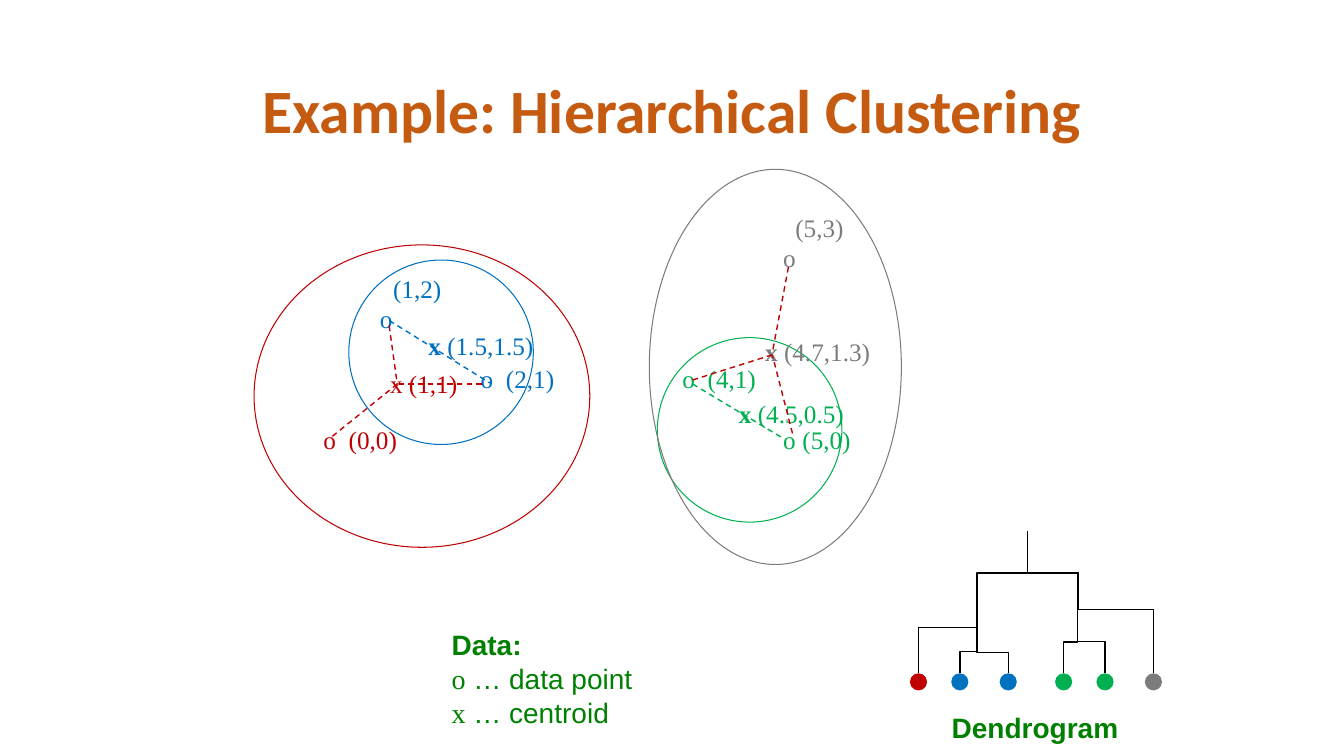
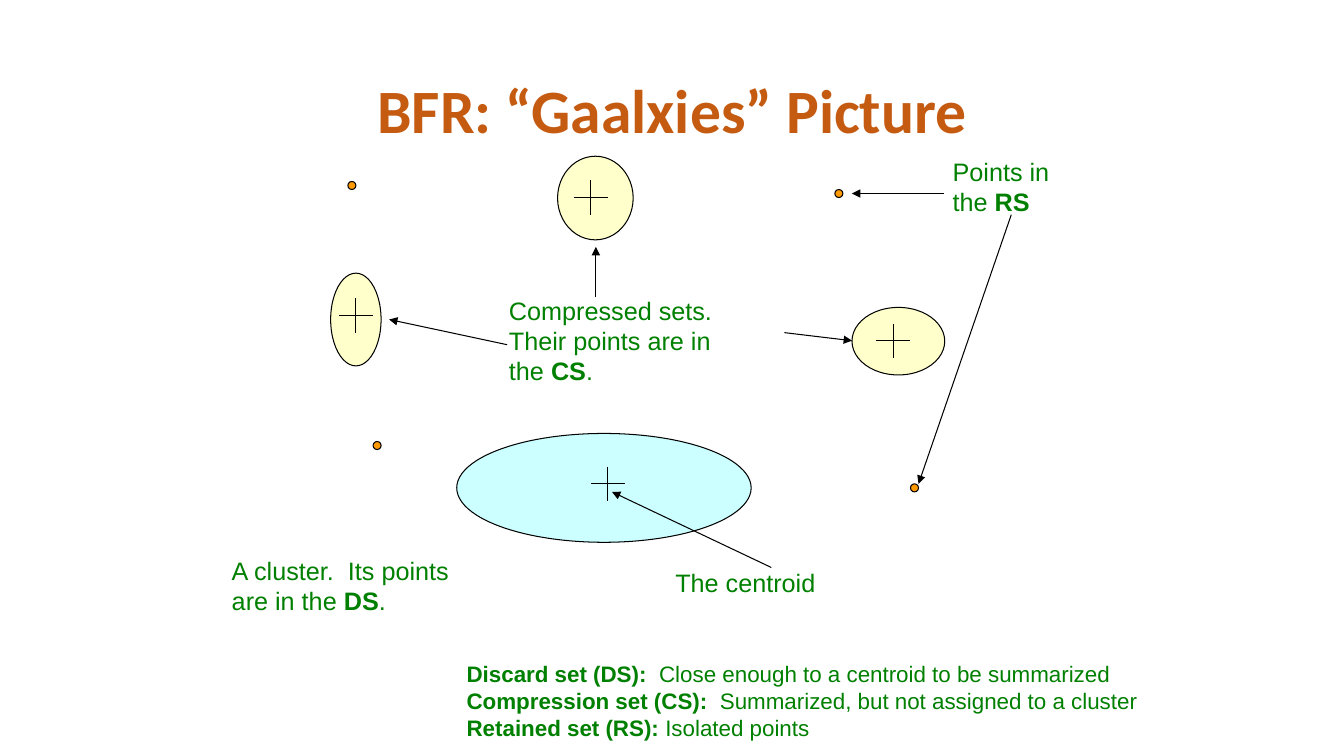
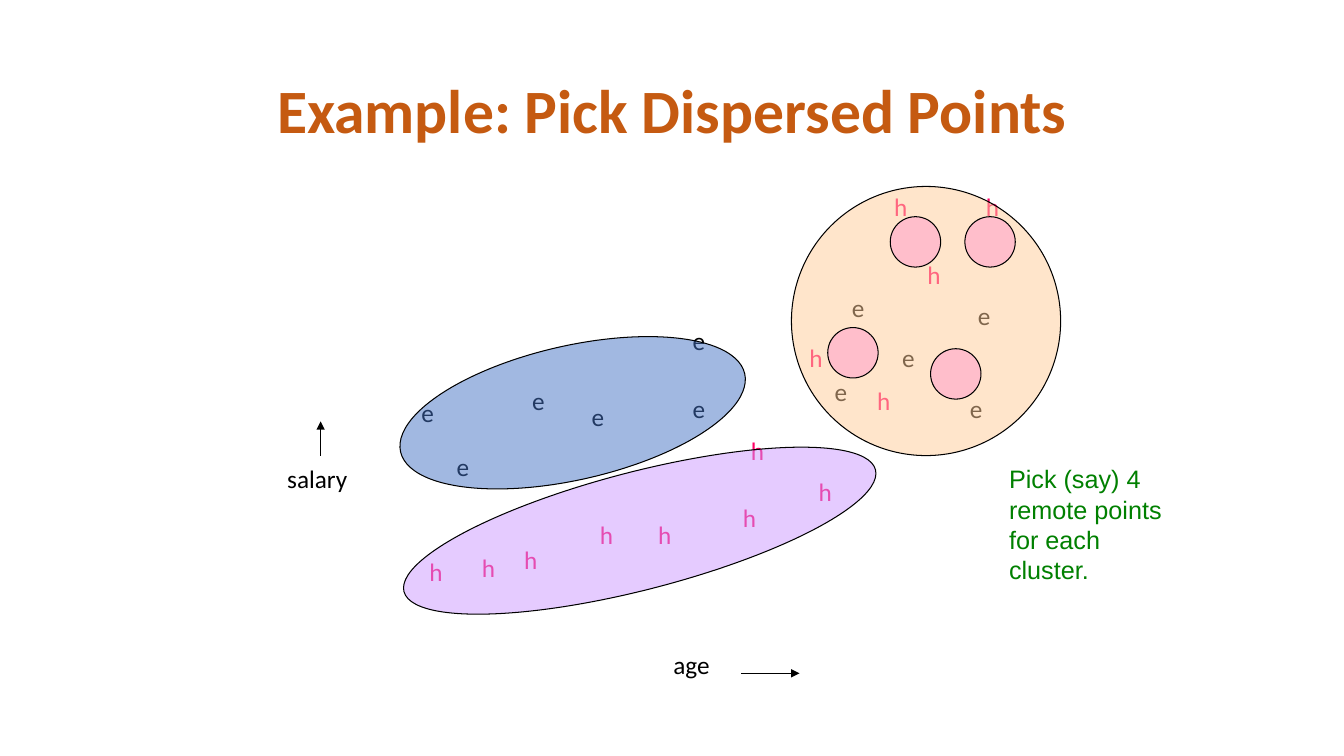
from lxml import etree
from pptx import Presentation
from pptx.dml.color import RGBColor
from pptx.enum.dml import MSO_LINE
from pptx.enum.shapes import MSO_CONNECTOR, MSO_SHAPE
from pptx.enum.text import MSO_ANCHOR, PP_ALIGN
from pptx.oxml.ns import qn
from pptx.util import Pt

PX = 9144  # EMU per px, 100 px to the inch
ELLIPSE = MSO_SHAPE.OVAL
STRAIGHT, ELBOW = MSO_CONNECTOR.STRAIGHT, MSO_CONNECTOR.ELBOW
DASH = MSO_LINE.DASH
TOP, MIDDLE = MSO_ANCHOR.TOP, MSO_ANCHOR.MIDDLE
LEFT, CENTER = PP_ALIGN.LEFT, PP_ALIGN.CENTER

SANS, SERIF, HEADING = "Arial", "Times New Roman", "Calibri"

BLACK = RGBColor(0x00, 0x00, 0x00)
RUST = RGBColor(0xC5, 0x5A, 0x11)
NOTE_GREEN = RGBColor(0x00, 0x80, 0x00)
BLUE = RGBColor(0x00, 0x70, 0xC0)
GREEN = RGBColor(0x00, 0xB0, 0x50)
RED = RGBColor(0xC0, 0x00, 0x00)
GREY = RGBColor(0x7C, 0x7C, 0x7C)
AQUA = RGBColor(0xCC, 0xFF, 0xFF)
YELLOW = RGBColor(0xFF, 0xFF, 0x99)
ORANGE = RGBColor(0xFF, 0x99, 0x00)
STEEL = RGBColor(0x44, 0x72, 0xC4)
PEACH = RGBColor(0xFF, 0xCC, 0x99)
VIOLET = RGBColor(0xCC, 0x99, 0xFF)
PINK = RGBColor(0xFF, 0x99, 0xCC)
MAGENTA = RGBColor(0xFF, 0x00, 0x66)

BOLD = {"bold": True}


def write(frame, lines, size=18, font=SANS, color=NOTE_GREEN, bold=False,
          align=LEFT, anchor=TOP, spacing=None):
    """Fill a text frame; a line is a string or a list of (text, changes)."""
    frame.word_wrap = True
    frame.vertical_anchor = anchor
    for number, line in enumerate(lines):
        para = frame.add_paragraph() if number else frame.paragraphs[0]
        para.alignment = align
        if spacing:
            para.line_spacing = spacing
        for text, changes in [(line, {})] if isinstance(line, str) else line:
            span = para.add_run()
            span.text = text
            span.font.size = Pt(size)
            span.font.name = changes.get("font", font)
            span.font.bold = changes.get("bold", bold)
            span.font.color.rgb = color


class Region:
    """Part of a page whose pieces are placed from its own left top corner."""

    def __init__(self, page, left, top):
        self.shapes = page.shapes
        self.left, self.top = left, top

    def point(self, x, y):
        return round((self.left + x) * PX), round((self.top + y) * PX)

    def label(self, x, y, width, height, *lines, **style):
        box = self.shapes.add_textbox(*self.point(x, y), width * PX, height * PX)
        box.text_frame.margin_right = 0
        write(box.text_frame, lines, **style)

    def ellipse(self, x, y, width, height, fill=None, line=BLACK, alpha=None,
                rotation=0):
        shape = self.shapes.add_shape(
            ELLIPSE, *self.point(x, y), width * PX, height * PX)
        shape.shadow.inherit = False
        shape.rotation = rotation
        if fill is None:
            shape.fill.background()
        else:
            shape.fill.solid()
            shape.fill.fore_color.rgb = fill
        if alpha:
            color = shape._element.spPr.find(qn("a:solidFill"))[0]
            etree.SubElement(color, qn("a:alpha"), val=str(alpha * 1000))
        if line is None:
            shape.line.fill.background()
        else:
            shape.line.color.rgb = line
            shape.line.width = Pt(0.75)

    def line(self, x1, y1, x2, y2, color=BLACK, width=0.75, dash=None,
             arrow=False, kind=STRAIGHT):
        connector = self.shapes.add_connector(
            kind, *self.point(x1, y1), *self.point(x2, y2))
        connector.line.color.rgb = color
        connector.line.width = Pt(width)
        if dash:
            connector.line.dash_style = dash
        if arrow:
            etree.SubElement(connector.line._get_or_add_ln(), qn("a:tailEnd"),
                             type="triangle")
        etree.SubElement(connector._element.spPr, qn("a:effectLst"))
        return connector

    def branch(self, x1, y1, x2, y2, bend):
        """Elbow that leaves upwards, turns at the bend and ends upwards."""
        middle_x, middle_y = (x1 + x2) / 2, (y1 + y2) / 2
        half_width, half_height = (y1 - y2) / 2, abs(x2 - x1) / 2
        side = 1 if x2 > x1 else -1
        connector = self.line(
            middle_x + side * half_width, middle_y + half_height,
            middle_x - side * half_width, middle_y - half_height,
            width=1, kind=ELBOW)
        properties = connector._element.spPr
        turn = 90 if side > 0 else 270
        properties.find(qn("a:xfrm")).set("rot", str(turn * 60000))
        geometry = properties.find(qn("a:prstGeom"))
        guides = geometry.find(qn("a:avLst"))
        if guides is None:
            guides = etree.SubElement(geometry, qn("a:avLst"))
        etree.SubElement(guides, qn("a:gd"), name="adj1",
                         fmla=f"val {round(bend * 100000)}")

    def cross(self, x, y, arm=17):
        self.line(x, y - arm, x, y + arm)
        self.line(x - arm, y, x + arm, y)


def add_page(deck, title):
    page = deck.slides.add_slide(deck.slide_layouts[5])
    box = page.shapes.title
    box.left, box.top, box.width, box.height = (
        length * PX for length in (92, 40, 1150, 145))
    write(box.text_frame, [title], size=44, font=HEADING, color=RUST,
          bold=True, align=CENTER, anchor=MIDDLE, spacing=0.9)
    return page


def cluster_plot(page, left, top):
    plot = Region(page, left, top)
    data_points = [
        (517, 71, 12, -30, "(5,3)", GREY),
        (117, 131, 13, -30, "(1,2)", BLUE),
        (217, 191, 25, 0, "(2,1)", BLUE),
        (417, 191, 25, 0, "(4,1)", GREEN),
        (61, 251, 25, 0, "(0,0)", RED),
        (517, 251, 19, 0, "(5,0)", GREEN),
    ]
    for x, y, shift_x, shift_y, text, color in data_points:
        plot.label(x, y, 33, 40, "o", font=SERIF, color=color)
        plot.label(x + shift_x, y + shift_y, 68, 40, text, font=SERIF, color=color)

    clusters = [
        ((96, 93, 183, 183), (165, 158), " (1.5,1.5)", BLUE, True),
        ((402, 170, 183, 183), (473, 225), " (4.5,0.5)", GREEN, True),
        ((2, 78, 333, 300), (127, 195), " (1,1)", RED, False),
        ((394, 3, 250, 392), (499, 164), " (4.7,1.3)", GREY, True),
    ]
    for outline, centroid, text, color, bold in clusters:
        plot.ellipse(*outline, line=color)
        plot.label(*centroid, 125, 40, [("x", {"bold": bold}), (text, {})],
                   font=SERIF, color=color)

    links = [
        (136, 153, 236, 215, BLUE), (437, 216, 527, 270, GREEN),
        (136, 158, 144, 216, RED), (228, 216, 144, 216, RED),
        (144, 216, 77, 270, RED), (532, 100, 516, 185, RED),
        (437, 212, 516, 187, RED), (536, 265, 516, 187, RED),
    ]
    for *ends, color in links:
        plot.line(*ends, color=color, width=1, dash=DASH)


def dendrogram(page, left, top):
    tree = Region(page, left, top)
    leaf_top, leaf_size = 143, 17
    leaves = [
        (11, RED, 69, 52, 0.5), (52, BLUE, 69, 93, 0.43),
        (100, BLUE, 69, 102, 0.5), (155, GREEN, 169, 102, 0.76),
        (196, GREEN, 169, 77, 0.48), (244, GREY, 169, 43, 0.63),
    ]
    for x, color, parent_x, parent_y, bend in leaves:
        tree.ellipse(x - leaf_size / 2, leaf_top, leaf_size, leaf_size,
                     fill=color, line=None)
        tree.branch(x, leaf_top, parent_x, parent_y, bend)
    tree.branch(69, 85, 119, 2, 0.5)
    tree.branch(169, 68, 119, 2, 0.37)
    tree.label(34, 175, 187, 44, "Dendrogram", size=20, bold=True)


def data_legend(page, left, top):
    symbol = {"font": SERIF}
    Region(page, left, top).label(
        0, 0, 201, 111,
        [("Data:", BOLD)],
        [("o", symbol), (" … data point", {})],
        [("x", symbol), (" … centroid", {})], size=20)


def discard_set(page, left, top):
    area = Region(page, left, top)
    area.ellipse(233, 0, 292, 108, fill=AQUA)
    area.label(0, 116, 238, 71, "A cluster.  Its points",
               [("are in the ", {}), ("DS", BOLD), (".", {})])
    area.cross(383, 50)
    area.label(440, 128, 160, 40, "The centroid")
    area.line(545, 133, 387, 58, arrow=True)


def compression_sets(page, left, top):
    area = Region(page, left, top)
    for outline in ((3, 116, 50, 92), (520, 150, 92, 67), (228, 0, 75, 83)):
        area.ellipse(*outline, fill=YELLOW, alpha=50)
    for center in ((28, 158), (561, 183), (261, 41)):
        area.cross(*center)
    area.label(170, 133, 224, 101, "Compressed sets.", "Their points are in",
               [("the ", {}), ("CS", BOLD), (".", {})])
    for ends in ((178, 187, 61, 162), (266, 140, 266, 90), (453, 175, 520, 183)):
        area.line(*ends, arrow=True)


def retained_set(page, left, top):
    area = Region(page, left, top)
    for corner in ((0, 30), (25, 288), (558, 330), (483, 38)):
        area.ellipse(*corner, 8, 8, fill=ORANGE)
    area.label(590, 0, 117, 71, "Points in", [("the ", {}), ("RS", BOLD)])
    for ends in ((591, 42, 500, 42), (658, 63, 566, 330)):
        area.line(*ends, arrow=True)


def definitions(page, left, top):
    Region(page, left, top).label(
        0, 0, 700, 91,
        [("Discard set (DS):", BOLD),
         ("  Close enough to a centroid to be summarized", {})],
        [("Compression set (CS):", BOLD),
         ("  Summarized, but not assigned to a cluster", {})],
        [("Retained set (RS):", BOLD), (" Isolated points", {})], size=16)


def salary_scatter(page, left, top):
    plot = Region(page, left, top)
    marks = {
        ("e", BLACK): [
            (18, 209), (187, 213), (287, 138), (428, 188), (445, 105), (570, 113),
            (53, 263), (128, 197), (287, 205), (495, 155), (562, 205)],
        ("h", MAGENTA): [
            (26, 367), (403, 155), (412, 288), (470, 197), (520, 72), (578, 5),
            (195, 330), (253, 330), (345, 247), (337, 313), (487, 5), (78, 363),
            (120, 355)],
    }
    for (letter, color), corners in marks.items():
        for corner in corners:
            plot.label(*corner, 39, 50, letter, font=HEADING, color=color)
    plot.ellipse(3, 163, 350, 133, fill=STEEL, alpha=50, rotation=-12.8)
    plot.ellipse(395, 5, 267, 267, fill=PEACH, alpha=50)
    plot.ellipse(3, 288, 483, 117, fill=VIOLET, alpha=50, rotation=-14.5)
    for corner in ((493, 35), (567, 35), (431, 145), (533, 166)):
        plot.ellipse(*corner, 50, 50, fill=PINK, alpha=50)


def axis_names(page, left, top):
    axes = Region(page, left, top)
    axes.label(0, 37, 106, 50, "salary", font=HEADING, color=BLACK)
    axes.line(43, 34, 43, 0, arrow=True)
    axes.label(383, 221, 74, 50, "age", font=HEADING, color=BLACK)
    axes.line(460, 250, 518, 250, arrow=True)


def remote_points_note(page, left, top):
    Region(page, left, top).label(
        0, 0, 173, 131, "Pick (say) 4", "remote points", "for each", "cluster.")


def main():
    deck = Presentation()
    deck.slide_width, deck.slide_height = 1333 * PX, 750 * PX

    page = add_page(deck, "Example: Hierarchical Clustering")
    cluster_plot(page, 250, 165)
    dendrogram(page, 900, 525)
    data_legend(page, 438, 618)

    page = add_page(deck, "BFR: “Gaalxies” Picture")
    discard_set(page, 220, 430)
    compression_sets(page, 325, 155)
    retained_set(page, 345, 150)
    definitions(page, 453, 650)

    page = add_page(deck, "Example: Pick Dispersed Points")
    salary_scatter(page, 390, 180)
    axis_names(page, 275, 418)
    remote_points_note(page, 991, 455)

    deck.save("out.pptx")


if __name__ == "__main__":
    main()
